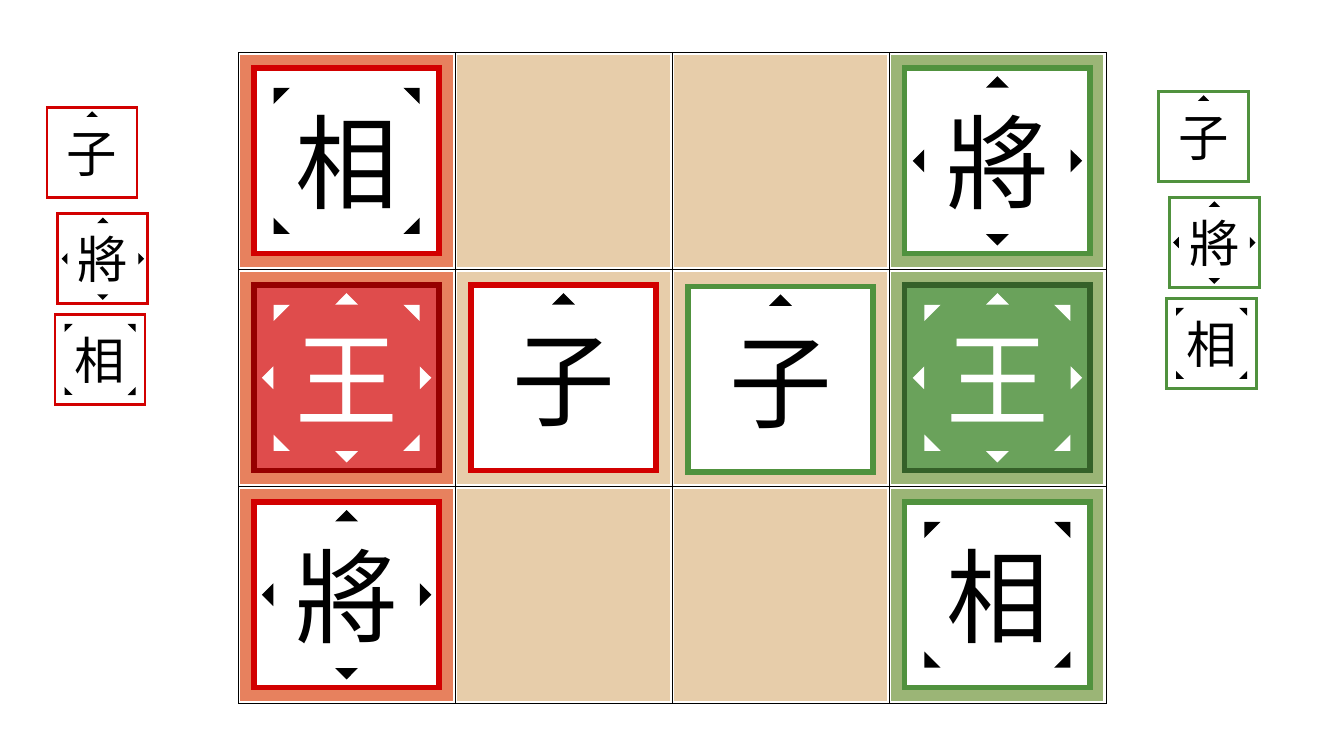
import lxml.etree
import pptx
import pptx.dml.color
import pptx.enum.shapes
import pptx.enum.text
import pptx.oxml.ns
import pptx.util

Inches = pptx.util.Inches
Pt = pptx.util.Pt
RGBColor = pptx.dml.color.RGBColor
Shape = pptx.enum.shapes.MSO_SHAPE
qn = pptx.oxml.ns.qn

WHITE = RGBColor(0xFF, 0xFF, 0xFF)
BLACK = RGBColor(0x00, 0x00, 0x00)
WOOD = RGBColor(0xDE, 0xB8, 0x87)
RED = RGBColor(0xD2, 0x00, 0x00)
GREEN = RGBColor(0x50, 0x92, 0x3E)
RED_ZONE = RGBColor(0xFF, 0x00, 0x00)
GREEN_ZONE = RGBColor(0x00, 0xB0, 0x50)
RED_KING = RGBColor(0xDF, 0x4C, 0x4C)
RED_EDGE = RGBColor(0x96, 0x00, 0x00)
GREEN_KING = RGBColor(0x6A, 0xA2, 0x5B)
GREEN_EDGE = RGBColor(0x35, 0x61, 0x29)

# Board geometry in inches: cells of 41 mm, four columns centred on x = 5
ROWS, COLS = 3, 4
CELL = 41 / 25.4
LEFT, TOP = 5 - 2 * CELL, 0.39
BIG, SMALL = 1.38, 0.67

# Moves as (dx, dy, turn); the right angle of the triangle points outward
SIDES = [(0, -1, 135), (0, 1, 315), (-1, 0, 45), (1, 0, 225)]
DIAGS = [(1, 1, 270), (-1, 1, 0), (-1, -1, 90), (1, -1, 180)]
MOVES = {"王": SIDES + DIAGS, "相": DIAGS, "將": SIDES, "子": SIDES[:1]}


class Board:
    """Holds the text style and the current slide."""

    font = {"name": "Noto Sans CJK KR"}
    frame = {
        "word_wrap": False,
        "vertical_anchor": pptx.enum.text.MSO_ANCHOR.MIDDLE,
    }

    def __init__(self, slide):
        self.slide = slide

    def group(self):
        return self.slide.shapes.add_group_shape().shapes

    def apply(self, item, values):
        for key, value in values.items():
            setattr(item, key, value)

    def block(self, home, box, fill=None, line=None, width=0, kind=Shape.RECTANGLE):
        shape = home.add_shape(kind, *[Inches(v) for v in box])
        shape.shadow.inherit = False
        for part, color in ((shape.fill, fill), (shape.line.fill, line)):
            if color is None:
                part.background()
            else:
                part.solid()
                part.fore_color.rgb = color
        if line is not None:
            shape.line.width = Pt(width)
            edge = shape.line._get_or_add_ln()
            lxml.etree.SubElement(edge, qn("a:miter")).set("lim", "800000")
        return shape

    def fade(self, shape, percent):
        color = shape.fill._xPr.find(qn("a:solidFill"))[0]
        alpha = lxml.etree.SubElement(color, qn("a:alpha"))
        alpha.set("val", str(percent * 1000))

    def label(self, shape, text, size, color):
        self.apply(shape.text_frame, self.frame)
        para = shape.text_frame.paragraphs[0]
        para.alignment = pptx.enum.text.PP_ALIGN.CENTER
        run = para.add_run()
        run.text = text
        self.apply(run.font, {**self.font, "size": Pt(size)})
        run.font.color.rgb = color
        east = lxml.etree.SubElement(run._r.get_or_add_rPr(), qn("a:ea"))
        east.set("typeface", self.font["name"])

    def piece(self, sign, x, y, size, line, fill=WHITE, ink=BLACK):
        """Draw a tile centred on x, y with a triangle for each move."""
        home = self.group()
        big = size == BIG
        box = (x - size / 2, y - size / 2, size, size)
        tile = self.block(home, box, fill, line, 3 if big else 1.5)
        self.label(tile, sign, 55 if big else 27, ink)
        tip = 0.12 if big else 0.06
        for dx, dy, turn in MOVES[sign]:
            reach = size * (0.35 if dx and dy else 0.395)
            box = (x + dx * reach - tip / 2, y + dy * reach - tip / 2, tip, tip)
            mark = self.block(home, box, ink, kind=Shape.RIGHT_TRIANGLE)
            mark.rotation = turn


def main():
    deck = pptx.Presentation()
    deck.slide_width = Inches(10)
    deck.slide_height = deck.slide_width * 9 // 16
    board = Board(deck.slides.add_slide(deck.slide_layouts[6]))
    shapes = board.slide.shapes

    # Home zones
    for col, color in ((0, RED_ZONE), (COLS - 1, GREEN_ZONE)):
        board.block(shapes, (LEFT + col * CELL, TOP, CELL, ROWS * CELL), color)

    # Wooden cells, then the thin grid over them
    cells = [
        (LEFT + col * CELL, TOP + row * CELL, CELL, CELL)
        for col in range(COLS)
        for row in range(ROWS)
    ]
    for box in cells:
        board.fade(board.block(shapes, box, WOOD, WHITE, 2.5), 70)
    grid = board.group()
    for box in cells:
        board.block(grid, box, line=BLACK, width=0.25)

    # Pieces on the board: sign, column, row, nudge down, colours
    for sign, col, row, nudge, *look in (
        ("王", 0, 1, 0, RED_EDGE, RED_KING, WHITE),
        ("相", 0, 0, 0, RED),
        ("將", 0, 2, 0, RED),
        ("子", 1, 1, 0, RED),
        ("相", 3, 2, 0, GREEN),
        ("將", 3, 0, 0, GREEN),
        ("子", 2, 1, 0.01, GREEN),
        ("王", 3, 1, 0, GREEN_EDGE, GREEN_KING, WHITE),
    ):
        x = LEFT + (col + 0.5) * CELL
        y = TOP + (row + 0.5) * CELL + nudge
        board.piece(sign, x, y, BIG, *look)

    # Spare pieces beside the board: same stack on each side
    for left, top, color in ((8.62, 0.68, GREEN), (0.35, 0.8, RED)):
        for sign, dx, dy in (("子", 0, 0), ("相", 0.06, 1.54), ("將", 0.08, 0.79)):
            x, y = left + dx + SMALL / 2, top + dy + SMALL / 2
            board.piece(sign, x, y, SMALL, color)

    deck.save("out.pptx")


if __name__ == "__main__":
    main()
